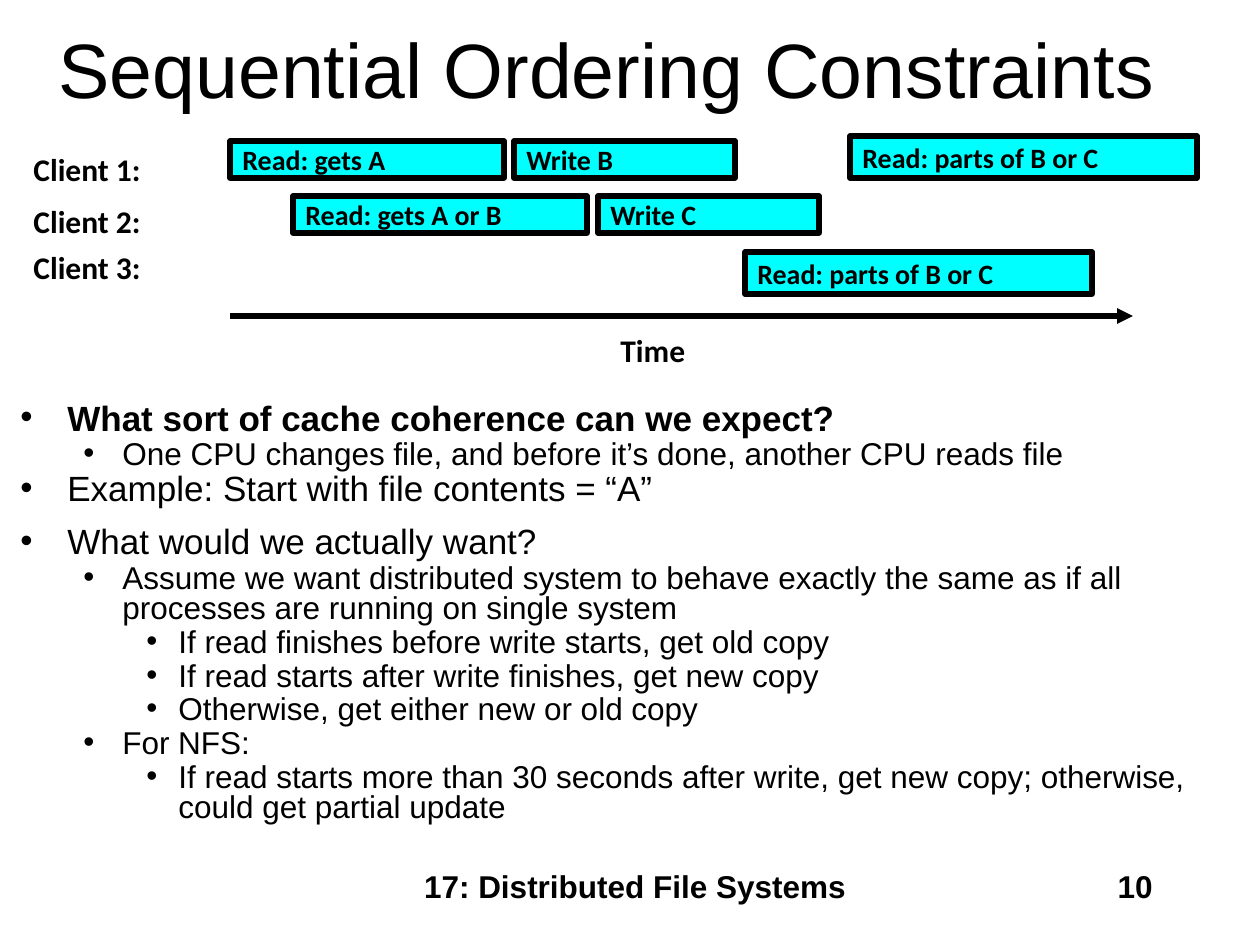
import pptx
import pptx.util
import pptx.dml.color
import pptx.enum.shapes
import pptx.enum.text
import lxml.etree

SCALE = 914400 / 126
BLACK = "000000"
CYAN = "00FFFF"
ALIGN = pptx.enum.text.PP_ALIGN
ANCHOR = pptx.enum.text.MSO_ANCHOR


def emu(pixels):
    """Turn pixels into EMU."""
    return pptx.util.Emu(round(pixels * SCALE))


def color(value):
    """Turn a hex string into a colour."""
    return pptx.dml.color.RGBColor.from_string(value)


def put_text(para, text, size=18, font="Arial", bold=False, align=ALIGN.LEFT):
    """Write text into a paragraph with its format."""
    para.alignment = align
    span = para.add_run()
    span.text = text
    span.font.size = pptx.util.Pt(size)
    span.font.name = font
    span.font.bold = bold
    span.font.color.rgb = color(BLACK)


def add_label(page, box, text, **style):
    """Add a text box with one paragraph."""
    label = page.shapes.add_textbox(*map(emu, box))
    label.text_frame.word_wrap = True
    put_text(label.text_frame.paragraphs[0], text, **style)


def add_operation(page, box, text):
    """Add one cyan bar that stands for a read or a write."""
    bar = page.shapes.add_shape(pptx.enum.shapes.MSO_SHAPE.RECTANGLE, *map(emu, box))
    bar.shadow.inherit = False
    bar.fill.solid()
    bar.fill.fore_color.rgb = color(CYAN)
    bar.line.color.rgb = color(BLACK)
    bar.line.width = pptx.util.Pt(3)
    bar.text_frame.word_wrap = True
    bar.text_frame.vertical_anchor = ANCHOR.MIDDLE
    put_text(bar.text_frame.paragraphs[0], text, size=16, font="Calibri", bold=True)


def add_time_arrow(page, left, top, width):
    """Add the time axis with an arrowhead at its right end."""
    arrow = page.shapes.add_connector(
        pptx.enum.shapes.MSO_CONNECTOR.STRAIGHT,
        *map(emu, (left, top, left + width, top)))
    arrow.line.color.rgb = color(BLACK)
    arrow.line.width = pptx.util.Pt(3)
    namespace = pptx.oxml.ns.qn
    lxml.etree.SubElement(arrow.line._get_or_add_ln(), namespace("a:tailEnd"), type="triangle")
    lxml.etree.SubElement(arrow._element.spPr, namespace("a:effectLst"))


def add_timeline(page, left, top):
    """Add the client lanes, their operations and the time axis."""
    read_both = "Read: parts of B or C"
    lanes = [
        ("Client 1:", 8, [(209, 5, 274, 37, "Read: gets A"),
                          (493, 5, 221, 37, "Write B"),
                          (829, 0, 347, 42, read_both)]),
        ("Client 2:", 60, [(272, 60, 294, 37, "Read: gets A or B"),
                           (577, 60, 221, 37, "Write C")]),
        ("Client 3:", 106, [(724, 116, 347, 42, read_both)]),
    ]
    style = {"size": 18, "font": "Calibri", "bold": True}
    for client, label_top, operations in lanes:
        add_label(page, (left, top + label_top, 160, 50), client, **style)
        for x, y, width, height, text in operations:
            add_operation(page, (left + x, top + y, width, height), text)
    add_time_arrow(page, left + 209, top + 180, 903)
    add_label(page, (left + 587, top + 189, 110, 50), "Time", **style)


def set_bullet(para, level, left, hang):
    """Give a paragraph a round bullet with a hanging indent in pixels."""
    para.level = level
    properties = para._p.get_or_add_pPr()
    properties.set("marL", str(emu(left)))
    properties.set("indent", str(-emu(hang)))
    namespace = pptx.oxml.ns.qn
    lxml.etree.SubElement(properties, namespace("a:buFont"), typeface="Arial")
    lxml.etree.SubElement(properties, namespace("a:buChar"), char="•")


def add_bullets(page, box):
    """Add the bulleted discussion."""
    levels = [(47, 47, 20), (102, 39, 18), (158, 32, 18)]
    items = [
        (0, "What sort of cache coherence can we expect?", True, 2),
        (1, "One CPU changes file, and before it’s done, another CPU reads file", False, 2),
        (0, "Example: Start with file contents = “A”", False, 2),
        (0, "What would we actually want?", False, 11),
        (1, "Assume we want distributed system to behave exactly the same as if all "
            "processes are running on single system", False, 2),
        (2, "If read finishes before write starts, get old copy", False, 2),
        (2, "If read starts after write finishes, get new copy", False, 2),
        (2, "Otherwise, get either new or old copy", False, 2),
        (1, "For NFS:", False, 2),
        (2, "If read starts more than 30 seconds after write, get new copy; otherwise, "
            "could get partial update", False, 2),
    ]
    frame = page.shapes.add_textbox(*map(emu, box)).text_frame
    frame.word_wrap = True
    for index, (level, text, bold, gap) in enumerate(items):
        para = frame.add_paragraph() if index else frame.paragraphs[0]
        left, hang, size = levels[level]
        para.line_spacing = 0.8
        para.space_before = pptx.util.Pt(gap)
        set_bullet(para, level, left, hang)
        put_text(para, text, size=size, bold=bold)


def add_title(page, box, text):
    """Move the title placeholder into its box and fill it."""
    title = page.shapes.title
    title.left, title.top, title.width, title.height = map(emu, box)
    title.text_frame.vertical_anchor = ANCHOR.MIDDLE
    put_text(title.text_frame.paragraphs[0], text, size=44, align=ALIGN.CENTER)


def add_footer(page, top):
    """Add the chapter name and the page number."""
    add_label(page, (388, top, 494, 63), "17: Distributed File Systems",
              bold=True, align=ALIGN.CENTER)
    add_label(page, (903, top, 262, 63), "10", bold=True, align=ALIGN.RIGHT)


def main():
    """Build the slide and save it."""
    deck = pptx.Presentation()
    deck.slide_width, deck.slide_height = emu(1260), emu(945)
    page = deck.slides.add_slide(deck.slide_layouts.get_by_name("Title Only"))
    add_title(page, (19, 9, 1176, 118), "Sequential Ordering Constraints")
    add_bullets(page, (8, 398, 1234, 503))
    add_timeline(page, 21, 136)
    add_footer(page, 861)
    deck.save("out.pptx")


main()
